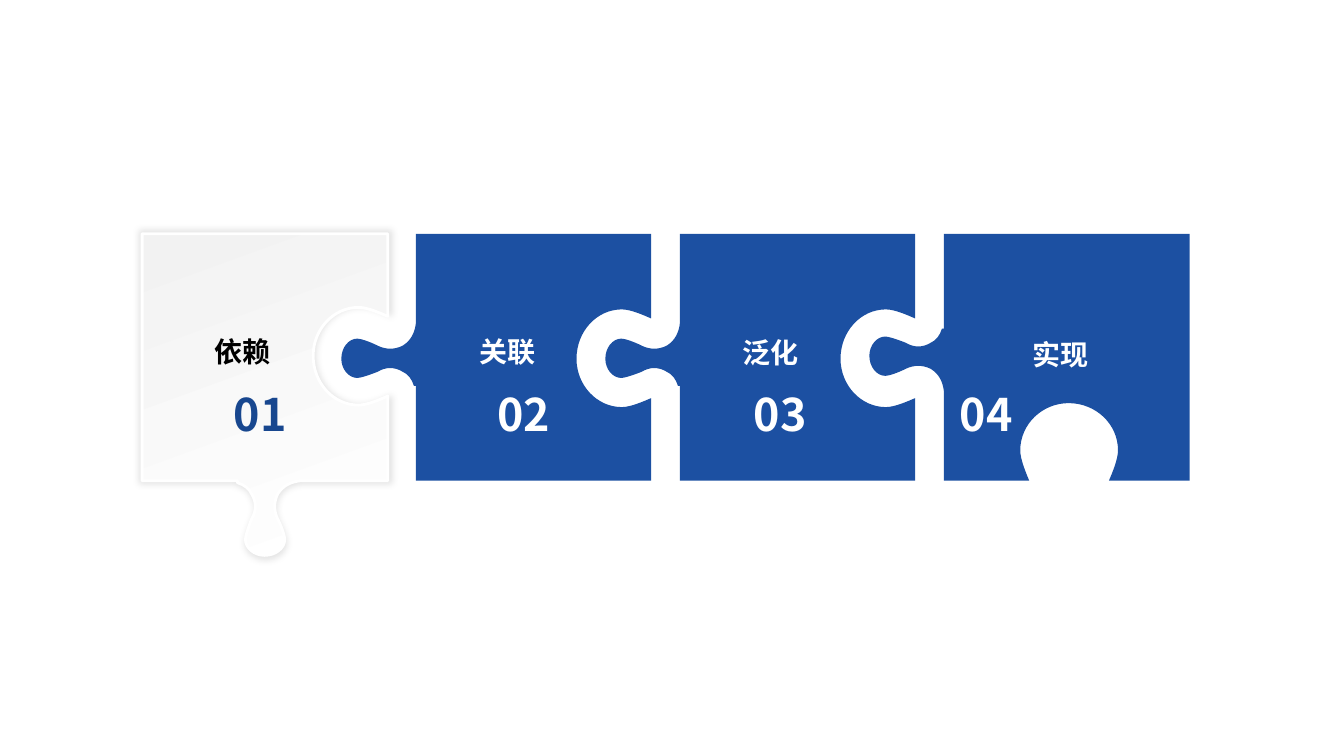
from lxml import etree
from pptx import Presentation, util as u
from pptx.dml.color import RGBColor
from pptx.enum import text
from pptx.oxml.ns import qn

COLORS = {"blue": "1C50A2", "navy": "18478F", "white": "FFFFFF",
          "pale": "F2F2F2", "black": "000000"}
TOP = 167
HEIGHT = 176.4
MIDDLE = 89  # centre of a tongue or socket, measured from the top of a piece

# Curves in points, x from the side of the piece, y from its top:
# a start, then two handles and an end for each curve.
TONGUE = [(0, 63.4),
          (-0.7, 70.6), (-3.6, 76.3), (-9.4, 79.9),
          (-15.1, 82.8), (-21.6, 82.8), (-27.4, 79.9),
          (-33.1, 77), (-39.6, 74.9), (-41.8, 74.9),
          (-48.2, 74.9), (-53.3, 81.4), (-53.3, 89.3),
          (-53.3, 96.5), (-48.2, 103), (-41.8, 103),
          (-39.6, 103), (-33.1, 100.8), (-27.4, 98.6),
          (-21.6, 95), (-15.1, 95), (-9.4, 98.6),
          (-5.8, 100.1), (-2.9, 103.7), (-1.4, 108.7)]
TONGUE_END = [(0, 108.7)]
SOCKET = [(0, 117.4),
          (-5, 119.5), (-14.4, 123.8), (-20.9, 123.8),
          (-38.9, 123.8), (-53.3, 108), (-53.3, 89.3),
          (-53.3, 69.8), (-38.9, 54), (-20.9, 54),
          (-14.4, 54), (-5, 58.3), (0, 60.5)]

# left, width, label, label centre, label middle, label colour, number centre, number colour
PIECES = [
    (101.5, 175.5, "依赖", 72, 84.2, "black", 84.4, "navy"),
    (297.1, 168, "关联", 65.3, 84.2, "white", 77, "white"),
    (485.7, 168, "泛化", 65, 84.7, "white", 71.7, "white"),
    (674.3, 175.4, "实现", 83, 86, "white", 30, "white"),
]


def color(name):
    return RGBColor.from_string(COLORS[name])


def flip(points):
    """Mirror top to bottom, keeping the direction of travel."""
    return [(x, HEIGHT - y) for x, y in reversed(points)]


def shift(points, width):
    return [(width + x, y) for x, y in points]


def outline(index, width):
    """List the curved sections of a piece; straight lines join them."""
    left, bottom, right = [TONGUE, TONGUE_END], [], [shift(SOCKET, width)]
    if index == 0:
        left = []
        bottom = [[(87.8 - (y - MIDDLE), HEIGHT - x) for x, y in reversed(section)]
                  for section in (TONGUE_END, TONGUE)]
        right = [shift(flip(SOCKET), width)]
    elif index == 3:
        left = [flip(TONGUE_END), flip(TONGUE)]
        bottom = [[(89.3 - (y - MIDDLE), HEIGHT + 1.04 * x) for x, y in SOCKET]]
        right = []
    return [[(0, 0)], *left, [(0, HEIGHT)], *bottom, [(width, HEIGHT)], *right, [(width, 0)]]


def build_curved(slide, sections):
    """Build a freeform through the section ends, then bend it with the handles."""
    ends, handles = [], []
    for section in sections:
        ends += section[::3]
        handles += [None] + [section[i:i + 2] for i in range(1, len(section), 3)]
    builder = slide.shapes.build_freeform(*ends[0])
    builder.add_line_segments(ends[1:], close=True)
    shape = builder.convert_to_shape()
    lines = list(shape._element.iter(qn("a:lnTo")))
    for line, pair in zip(lines, handles[1:]):
        if pair:
            line.tag = qn("a:cubicBezTo")
            for position, (x, y) in enumerate(pair):
                point = etree.Element(qn("a:pt"), x=str(x - shape.left), y=str(y - shape.top))
                line.insert(position, point)
    return shape


def add_soft_shadow(shape):
    effects = shape._element.spPr.find(qn("a:effectLst"))
    shadow = etree.SubElement(effects, qn("a:outerShdw"), blurRad=str(u.Pt(5)),
                              sx="102000", sy="102000", algn="ctr", rotWithShape="0")
    shade = etree.SubElement(shadow, qn("a:srgbClr"), val=COLORS["black"])
    etree.SubElement(shade, qn("a:alpha"), val="11000")


def add_piece(slide, index, left, top, width):
    sections = [[(u.Pt(left + x), u.Pt(top + y)) for x, y in section]
                for section in outline(index, width)]
    shape = build_curved(slide, sections)
    shape.shadow.inherit = False
    if index:
        shape.fill.solid()
        shape.fill.fore_color.rgb = color("blue")
        shape.line.fill.background()
        return
    shape.fill.gradient()
    shape.fill.gradient_angle = 110
    for stop, name in zip(shape.fill.gradient_stops, ("white", "pale")):
        stop.color.rgb = color(name)
    shape.line.color.rgb = color("white")
    shape.line.width = u.Pt(2)
    add_soft_shadow(shape)


def add_caption(slide, words, box, size, font, color_name, anchor):
    caption = slide.shapes.add_textbox(*(u.Pt(length) for length in box))
    frame = caption.text_frame
    frame.word_wrap = True
    frame.vertical_anchor = anchor
    paragraph = frame.paragraphs[0]
    paragraph.text = words
    paragraph.alignment = text.PP_ALIGN.CENTER
    paragraph.font.size = u.Pt(size)
    paragraph.font.bold = True
    paragraph.font.name = font
    paragraph.font.color.rgb = color(color_name)


def add_puzzle(slide, top):
    for index, (left, width, *_) in enumerate(PIECES):
        add_piece(slide, index, left, top, width)
    for index, (left, _, label, label_x, label_y, label_color,
                number_x, number_color) in enumerate(PIECES):
        add_caption(slide, f"{index + 1:02}", (left + number_x - 30, top + 105.5, 60, 46),
                    32, "Noto Sans CJK KR", number_color, text.MSO_ANCHOR.TOP)
        add_caption(slide, label, (left + label_x - 132.5, top + label_y - 17.3, 265, 34.6),
                    20, "Calibri", label_color, text.MSO_ANCHOR.MIDDLE)


def main():
    presentation = Presentation()
    presentation.slide_width, presentation.slide_height = u.Pt(960), u.Pt(540)
    slide = presentation.slides.add_slide(presentation.slide_layouts[6])
    add_puzzle(slide, TOP)
    presentation.save("out.pptx")


if __name__ == "__main__":
    main()
